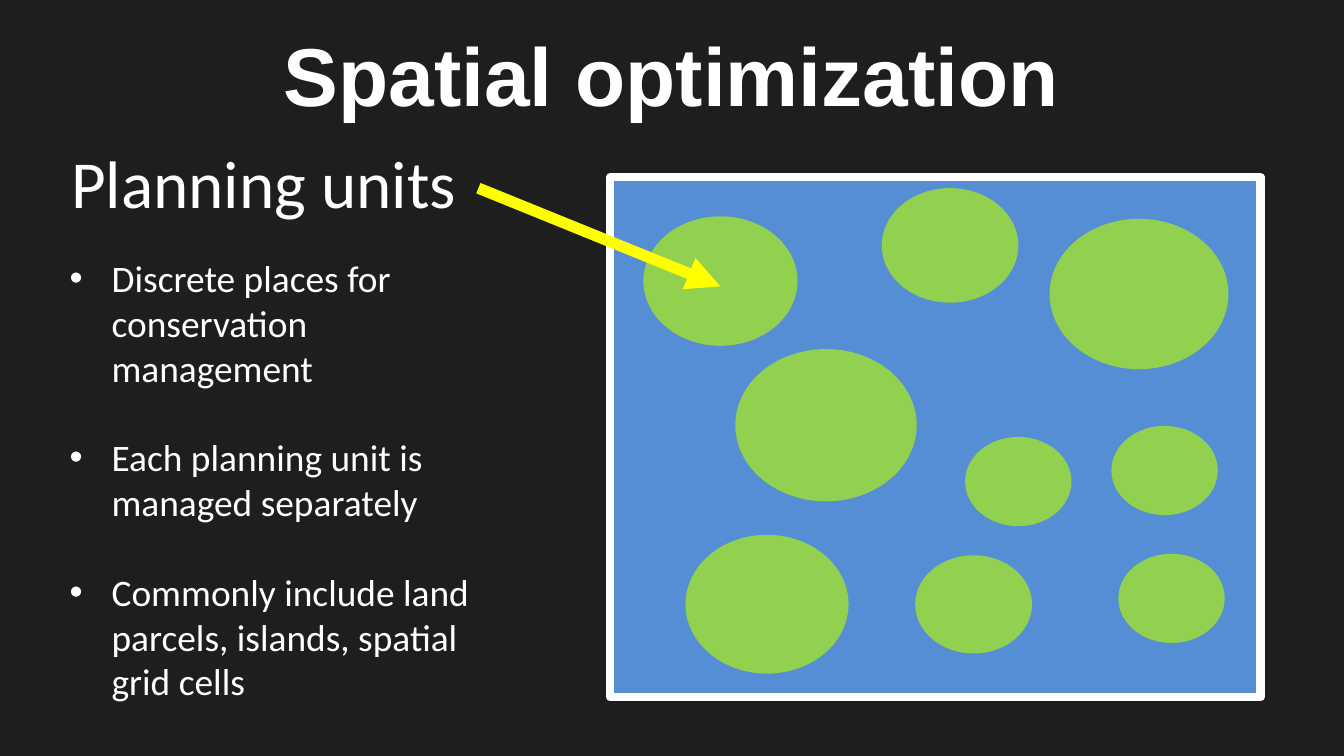
from lxml import etree
from pptx import Presentation
from pptx.dml.color import RGBColor
from pptx.enum.shapes import MSO_CONNECTOR, MSO_SHAPE
from pptx.enum.text import MSO_ANCHOR, PP_ALIGN
from pptx.oxml.ns import qn
from pptx.util import Pt

RECTANGLE = MSO_SHAPE.RECTANGLE
OVAL = MSO_SHAPE.OVAL
STRAIGHT = MSO_CONNECTOR.STRAIGHT
MIDDLE = MSO_ANCHOR.MIDDLE
CENTER = PP_ALIGN.CENTER

DARK = RGBColor(0x1E, 0x1E, 0x1E)
WHITE = RGBColor(0xFF, 0xFF, 0xFF)
SEA_BLUE = RGBColor(0x55, 0x8E, 0xD5)
ISLAND_GREEN = RGBColor(0x92, 0xD0, 0x50)
YELLOW = RGBColor(0xFF, 0xFF, 0x00)

TITLE = "Spatial optimization"
HEADING = "Planning units"
BULLETS = [
    "Discrete places for conservation management",
    "Each planning unit is managed separately",
    "Commonly include land parcels, islands, spatial grid cells",
]
SEA = (326.9, 95, 348.5, 278.6)
ISLANDS = [
    (562.3, 117.2, 95.8, 80.6),
    (490.3, 297.5, 62.6, 52.6),
    (344.7, 115.9, 82.6, 69.4),
    (367.2, 286.5, 87.4, 74.4),
    (472.4, 100.8, 73.2, 61.4),
    (595.4, 228.2, 57, 47.8),
    (517, 234.1, 57, 47.8),
    (599.1, 296.7, 57, 47.8),
    (393.9, 187, 97.2, 81.6),
]
ARROW = (256.3, 100.8, 385.9, 153.4)
INDENT = 22.5
BULLET_GAP = 24


def points(values):
    return [Pt(value) for value in values]


def format_text(para, font, size, bold=False):
    for span in para.runs:
        span.font.name = font
        span.font.size = Pt(size)
        span.font.bold = bold
        span.font.color.rgb = WHITE


def add_text(page, frame, lines, size):
    box = page.shapes.add_textbox(*points(frame))
    box.text_frame.word_wrap = True
    box.text_frame.text = "\n".join(lines)
    for para in box.text_frame.paragraphs:
        format_text(para, "Calibri", size)
    return box


def add_bullet(para):
    properties = para._p.get_or_add_pPr()
    properties.set("marL", str(Pt(INDENT)))
    properties.set("indent", str(-Pt(INDENT)))
    etree.SubElement(properties, qn("a:buFont"), typeface="Arial")
    etree.SubElement(properties, qn("a:buChar"), char="•")


def add_area(group, kind, frame, color):
    area = group.shapes.add_shape(kind, *points(frame))
    area.shadow.inherit = False
    area.fill.solid()
    area.fill.fore_color.rgb = color
    area.line.fill.background()
    return area


def add_arrow(page, ends):
    arrow = page.shapes.add_connector(STRAIGHT, *points(ends))
    arrow.line.color.rgb = YELLOW
    arrow.line.width = Pt(6)
    etree.SubElement(arrow.line._get_or_add_ln(), qn("a:tailEnd"), type="triangle")
    etree.SubElement(arrow._element.spPr, qn("a:effectLst"))


def main():
    deck = Presentation()
    deck.slide_width, deck.slide_height = points((720, 405))
    page = deck.slides.add_slide(deck.slide_layouts[5])
    page.background.fill.solid()
    page.background.fill.fore_color.rgb = DARK

    title = page.shapes.title
    title.left, title.top, title.width, title.height = points((36, 5.8, 648, 67.7))
    title.text_frame.text = TITLE
    title.text_frame.vertical_anchor = MIDDLE
    title.text_frame.paragraphs[0].alignment = CENTER
    format_text(title.text_frame.paragraphs[0], "Arial", 44, bold=True)

    add_text(page, (31, 72, 239, 51), [HEADING], 36)

    island_map = page.shapes.add_group_shape()
    sea = add_area(island_map, RECTANGLE, SEA, SEA_BLUE)
    sea.line.color.rgb = WHITE
    sea.line.width = Pt(4.5)
    for island in ISLANDS:
        add_area(island_map, OVAL, island, ISLAND_GREEN)

    add_arrow(page, ARROW)

    notes = add_text(page, (30.2, 133.2, 253.4, 249.8), BULLETS, 20)
    for index, para in enumerate(notes.text_frame.paragraphs):
        add_bullet(para)
        if index:
            para.space_before = Pt(BULLET_GAP)

    deck.save("out.pptx")


if __name__ == "__main__":
    main()
